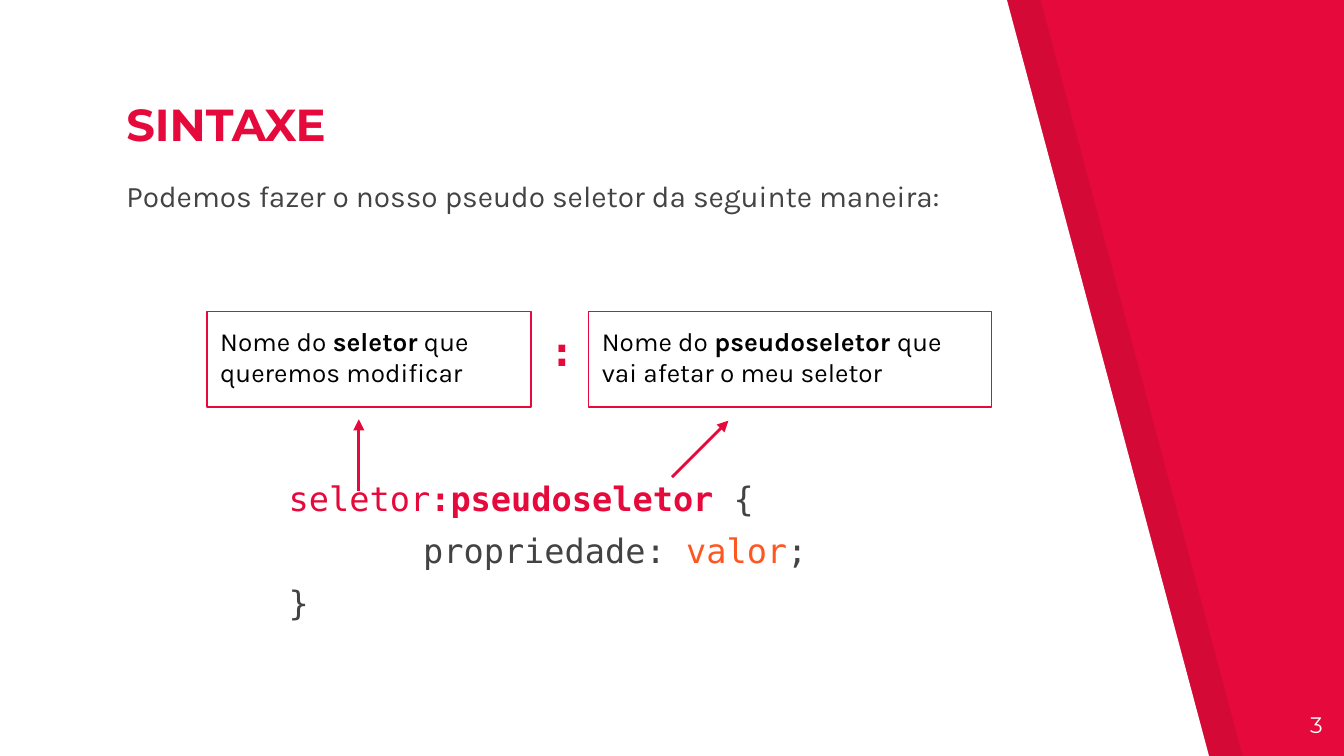
import pptx
import pptx.dml.color
import pptx.enum.shapes
import pptx.enum.text
import pptx.oxml.ns
import pptx.util
from lxml import etree

COLUMNS = 100
ROWS = COLUMNS * 9 / 16
CELL = pptx.util.Inches(0.1)
RED, GRAY, ORANGE, WHITE, BLACK = "E50A3B", "434343", "FF5722", "FFFFFF", "000000"
MONO = "DejaVu Sans Mono"
ANCHOR = pptx.enum.text.MSO_ANCHOR
ALIGN = pptx.enum.text.PP_ALIGN


def color(value):
    return pptx.dml.color.RGBColor.from_string(value)


def grid(*cells):
    return [round(cell * CELL) for cell in cells]


def apply(target, values):
    for name, value in values.items():
        setattr(target, name, value)


def fill_solid(fill, value):
    fill.solid()
    fill.fore_color.rgb = color(value)


def add_child(parent, tag, **attributes):
    return etree.SubElement(parent, pptx.oxml.ns.qn(tag), attributes)


def write(shape, paragraphs, font, size, before=0, align=ALIGN.LEFT, anchor=ANCHOR.TOP, indents=()):
    frame = shape.text_frame
    margins = dict.fromkeys(("margin_left", "margin_right", "margin_top", "margin_bottom"), CELL)
    apply(frame, {
        "word_wrap": True,
        "auto_size": pptx.enum.text.MSO_AUTO_SIZE.NONE,
        "vertical_anchor": anchor,
        **margins,
    })
    for index, runs in enumerate(paragraphs):
        paragraph = frame.add_paragraph() if index else frame.paragraphs[0]
        apply(paragraph, {"alignment": align, "space_before": pptx.util.Pt(before)})
        properties = paragraph._p.get_or_add_pPr()
        indent = grid(indents[index])[0] if indents else 0
        properties.set("marL", str(indent))
        properties.set("indent", "0")
        add_child(properties, "a:buNone")
        for text, tone, bold in runs:
            run = paragraph.add_run()
            run.text = text
            apply(run.font, {"name": font, "size": pptx.util.Pt(size), "bold": bold})
            run.font.color.rgb = color(tone)


def fill_placeholder(shape, cells, paragraphs, **style):
    apply(shape, dict(zip(("left", "top", "width", "height"), grid(*cells))))
    write(shape, paragraphs, **style)


def add_text(slide, cells, paragraphs, **style):
    write(slide.shapes.add_textbox(*grid(*cells)), paragraphs, **style)


def add_panel(slide, left, tone, opacity, layer):
    corners = [(left, -0.1), (left, 56.4), (left + 90, 56.4), (left + 74.9, -0.1)]
    start, *others = [grid(*corner) for corner in corners]
    builder = slide.shapes.build_freeform(*start)
    builder.add_line_segments(others)
    panel = builder.convert_to_shape()
    panel.shadow.inherit = False
    panel.line.fill.background()
    fill_solid(panel.fill, tone)
    tone_element = panel._element.spPr.find(".//" + pptx.oxml.ns.qn("a:srgbClr"))
    add_child(tone_element, "a:alpha", val=str(opacity * 1000))
    slide.shapes._spTree.insert(2 + layer, panel._element)


def add_label(slide, left, width, paragraphs):
    rectangle = pptx.enum.shapes.MSO_SHAPE.RECTANGLE
    label = slide.shapes.add_shape(rectangle, *grid(left, 23.2, width, 7.1))
    label.shadow.inherit = False
    label.fill.background()
    label.line.color.rgb = color(RED)
    label.line.width = pptx.util.Pt(0.75)
    write(label, paragraphs, font="Karla", size=14)


def add_arrow(slide, *ends):
    straight = pptx.enum.shapes.MSO_CONNECTOR.STRAIGHT
    arrow = slide.shapes.add_connector(straight, *grid(*ends))
    arrow.line.color.rgb = color(RED)
    arrow.line.width = pptx.util.Pt(1.5)
    add_child(arrow.line._get_or_add_ln(), "a:tailEnd", type="triangle")
    add_child(arrow._element.spPr, "a:effectLst")


def main():
    presentation = pptx.Presentation()
    width, height = grid(COLUMNS, ROWS)
    apply(presentation, {"slide_width": width, "slide_height": height})
    slide = presentation.slides.add_slide(presentation.slide_layouts[1])
    fill_solid(slide.background.fill, RED)

    add_panel(slide, 2.5, BLACK, 7, 0)
    add_panel(slide, 0, WHITE, 100, 1)

    fill_placeholder(slide.shapes.title, (8.4, 7.7, 52.5, 4.5), [[("SINTAXE", RED, True)]],
                     font="Montserrat", size=24, anchor=ANCHOR.BOTTOM)
    introduction = "Podemos fazer o nosso pseudo seletor da seguinte maneira:"
    fill_placeholder(slide.placeholders[1], (8.4, 12.2, 64.1, 10), [[(introduction, GRAY, False)]],
                     font="Karla", size=16, before=6)

    add_text(slide, (93.4, 51.9, 6, 4.3), [[("3", WHITE, False)]],
             font="Montserrat", size=12, align=ALIGN.RIGHT)
    code = [
        [("seletor", RED, False), (":pseudoseletor ", RED, True), ("{", GRAY, False)],
        [("propriedade: ", GRAY, False), ("valor", ORANGE, False), (";", GRAY, False)],
        [("}", GRAY, False)],
    ]
    add_text(slide, (20.5, 34.6, 44.3, 14.4), code,
             font=MONO, size=18, before=6, indents=(0, 10, 0))

    add_arrow(slide, 26.7, 36.5, 26.7, 31.2)
    add_label(slide, 15.4, 24.1, [
        [("Nome do ", BLACK, False), ("seletor", BLACK, True), (" que", BLACK, False)],
        [("queremos modificar", BLACK, False)],
    ])
    add_arrow(slide, 50, 35.5, 54.2, 31.3)
    add_label(slide, 43.8, 30, [
        [("Nome do ", BLACK, False), ("pseudoseletor ", BLACK, True),
         ("que vai afetar o meu seletor", BLACK, False)],
    ])
    add_text(slide, (39.9, 23.2, 3.5, 6), [[(":", RED, True)]], font=MONO, size=22, before=6)

    presentation.save("out.pptx")


if __name__ == "__main__":
    main()
